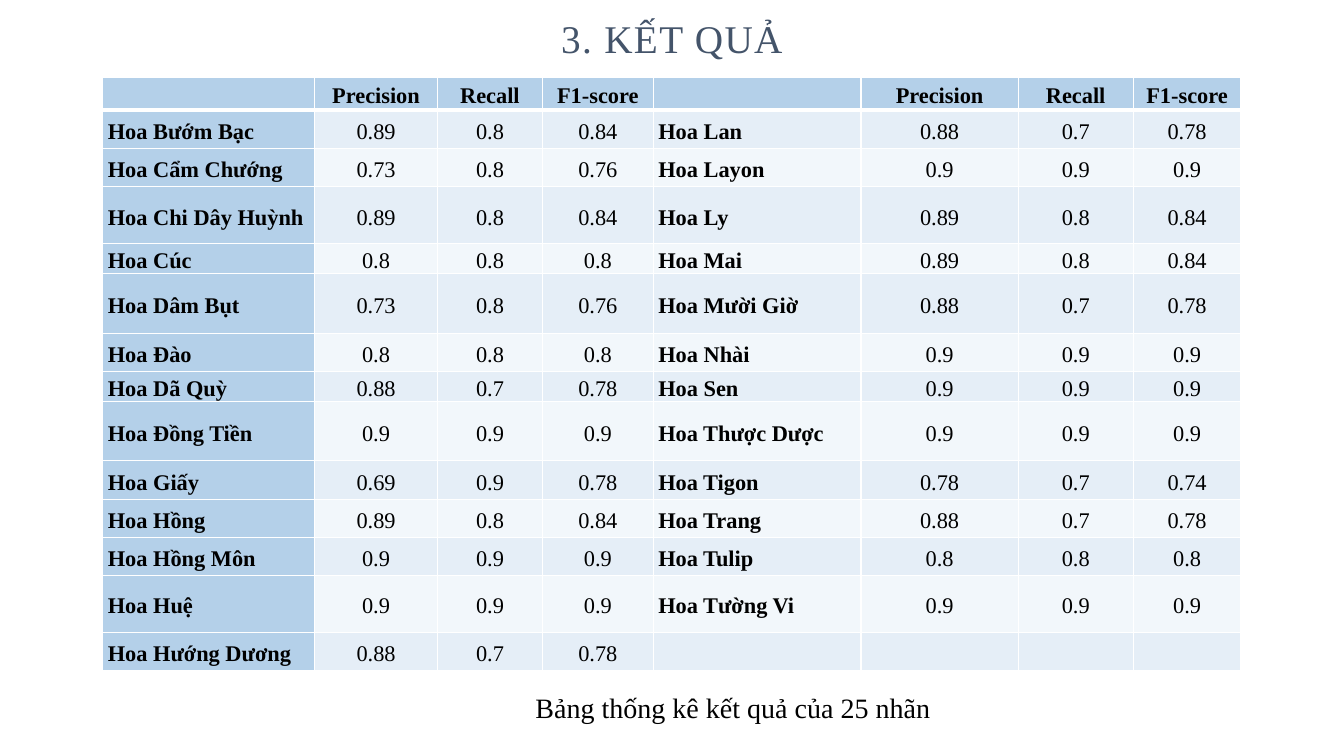
import pptx
import pptx.dml.color
import pptx.enum.text
import pptx.oxml
import pptx.oxml.ns
import pptx.util

Inches = pptx.util.Inches
Pt = pptx.util.Pt
RGBColor = pptx.dml.color.RGBColor
ALIGN = pptx.enum.text.PP_ALIGN
MIDDLE = pptx.enum.text.MSO_ANCHOR.MIDDLE

HEADER_BLUE = RGBColor(0xB4, 0xD0, 0xE9)
BAND_DARK = RGBColor(0xE5, 0xEE, 0xF7)
BAND_LIGHT = RGBColor(0xF2, 0xF7, 0xFB)
TITLE_SLATE = RGBColor(0x44, 0x54, 0x6A)
WHITE = RGBColor(0xFF, 0xFF, 0xFF)
BLACK = RGBColor(0, 0, 0)
FONT = "Times New Roman"

COLUMN_WIDTHS = [2.1, 1.22, 1.04, 1.1, 2.06, 1.56, 1.14, 1.07]
ROW_HEIGHTS = [0.32, 0.38, 0.38, 0.57, 0.27, 0.59, 0.38,
               0.27, 0.59, 0.38, 0.38, 0.38, 0.56, 0.38]
NAME_COLUMNS = (0, 4)
METRICS = ["", "Precision", "Recall", "F1-score"]
SCORES = [
    ("Hoa Bướm Bạc", "0.89", "0.8", "0.84", "Hoa Lan", "0.88", "0.7", "0.78"),
    ("Hoa Cẩm Chướng", "0.73", "0.8", "0.76", "Hoa Layon", "0.9", "0.9", "0.9"),
    ("Hoa Chi Dây Huỳnh", "0.89", "0.8", "0.84", "Hoa Ly", "0.89", "0.8", "0.84"),
    ("Hoa Cúc", "0.8", "0.8", "0.8", "Hoa Mai", "0.89", "0.8", "0.84"),
    ("Hoa Dâm Bụt", "0.73", "0.8", "0.76", "Hoa Mười Giờ", "0.88", "0.7", "0.78"),
    ("Hoa Đào", "0.8", "0.8", "0.8", "Hoa Nhài", "0.9", "0.9", "0.9"),
    ("Hoa Dã Quỳ", "0.88", "0.7", "0.78", "Hoa Sen", "0.9", "0.9", "0.9"),
    ("Hoa Đồng Tiền", "0.9", "0.9", "0.9", "Hoa Thược Dược", "0.9", "0.9", "0.9"),
    ("Hoa Giấy", "0.69", "0.9", "0.78", "Hoa Tigon", "0.78", "0.7", "0.74"),
    ("Hoa Hồng", "0.89", "0.8", "0.84", "Hoa Trang", "0.88", "0.7", "0.78"),
    ("Hoa Hồng Môn", "0.9", "0.9", "0.9", "Hoa Tulip", "0.8", "0.8", "0.8"),
    ("Hoa Huệ", "0.9", "0.9", "0.9", "Hoa Tường Vi", "0.9", "0.9", "0.9"),
    ("Hoa Hướng Dương", "0.88", "0.7", "0.78", "", "", "", ""),
]


def format_paragraph(para, size, color, align, spacing=1.0, bold=False):
    """Apply alignment, line spacing and font to a paragraph."""
    para.alignment = align
    para.line_spacing = spacing
    for span in para.runs:
        span.font.name = FONT
        span.font.size = Pt(size)
        span.font.bold = bold
        span.font.color.rgb = color


def set_borders(cell, top, bottom):
    """Draw white cell borders, one point wide at the sides."""
    properties = cell._tc.get_or_add_tcPr()
    for side, width in (("L", 1), ("R", 1), ("T", top), ("B", bottom)):
        properties.append(pptx.oxml.parse_xml(
            f'<a:ln{side} {pptx.oxml.ns.nsdecls("a")} w="{Pt(width)}">'
            f'<a:solidFill><a:srgbClr val="{WHITE}"/></a:solidFill></a:ln{side}>'))


def fill_cell(cell, text, row, column):
    """Write one table cell and style it by its row and column."""
    set_borders(cell, 3 if row == 1 else 1, 3 if row == 0 else 1)
    cell.fill.solid()
    if row == 0 or column == 0:
        cell.fill.fore_color.rgb = HEADER_BLUE
    else:
        cell.fill.fore_color.rgb = BAND_DARK if row % 2 else BAND_LIGHT
    cell.vertical_anchor = MIDDLE
    cell.margin_left = cell.margin_right = Inches(0.05)
    cell.margin_top = cell.margin_bottom = 0
    if text:
        is_name = column in NAME_COLUMNS
        cell.text_frame.text = text
        format_paragraph(cell.text_frame.paragraphs[0], 16, BLACK,
                         ALIGN.LEFT if is_name else ALIGN.CENTER,
                         1.2, row == 0 or is_name)


def add_score_table(page, left, top, width, height):
    """Place the table of scores per flower in the given box."""
    rows = [METRICS * 2] + SCORES
    frame = page.shapes.add_table(len(rows), len(COLUMN_WIDTHS),
                                  Inches(left), Inches(top),
                                  Inches(width), Inches(height))
    table = frame.table
    table.horz_banding = False
    for column, column_width in zip(table.columns, COLUMN_WIDTHS):
        column.width = Inches(column_width)
    for row, row_height in zip(table.rows, ROW_HEIGHTS):
        row.height = Inches(row_height)
    for row, texts in enumerate(rows):
        for column, text in enumerate(texts):
            fill_cell(table.cell(row, column), text, row, column)


def place_title(page, left, top, width, height):
    """Move the title placeholder to the given box and format it."""
    title = page.shapes.title
    title.left, title.top = Inches(left), Inches(top)
    title.width, title.height = Inches(width), Inches(height)
    title.text_frame.text = "3. KẾT QUẢ"
    title.text_frame.vertical_anchor = MIDDLE
    para = title.text_frame.paragraphs[0]
    format_paragraph(para, 28, TITLE_SLATE, ALIGN.CENTER, 0.9)
    para.runs[0].font._element.set("spc", "100")


def add_caption(page, left, top, width, height):
    """Place the table caption in the given box."""
    box = page.shapes.add_textbox(Inches(left), Inches(top),
                                  Inches(width), Inches(height))
    box.text_frame.word_wrap = True
    box.text_frame.auto_size = pptx.enum.text.MSO_AUTO_SIZE.SHAPE_TO_FIT_TEXT
    box.text_frame.text = "Bảng thống kê kết quả của 25 nhãn"
    format_paragraph(box.text_frame.paragraphs[0], 20, BLACK, ALIGN.CENTER)


def main():
    """Build the results slide and save the deck."""
    deck = pptx.Presentation()
    deck.slide_width, deck.slide_height = Inches(13.33), Inches(7.5)
    page = deck.slides.add_slide(deck.slide_layouts[5])
    add_score_table(page, 1.02, 0.77, 11.29, 5.9)
    place_title(page, 3.54, 0.15, 6.25, 0.51)
    add_caption(page, 3.8, 6.8, 6.94, 0.44)
    deck.save("out.pptx")


if __name__ == "__main__":
    main()
